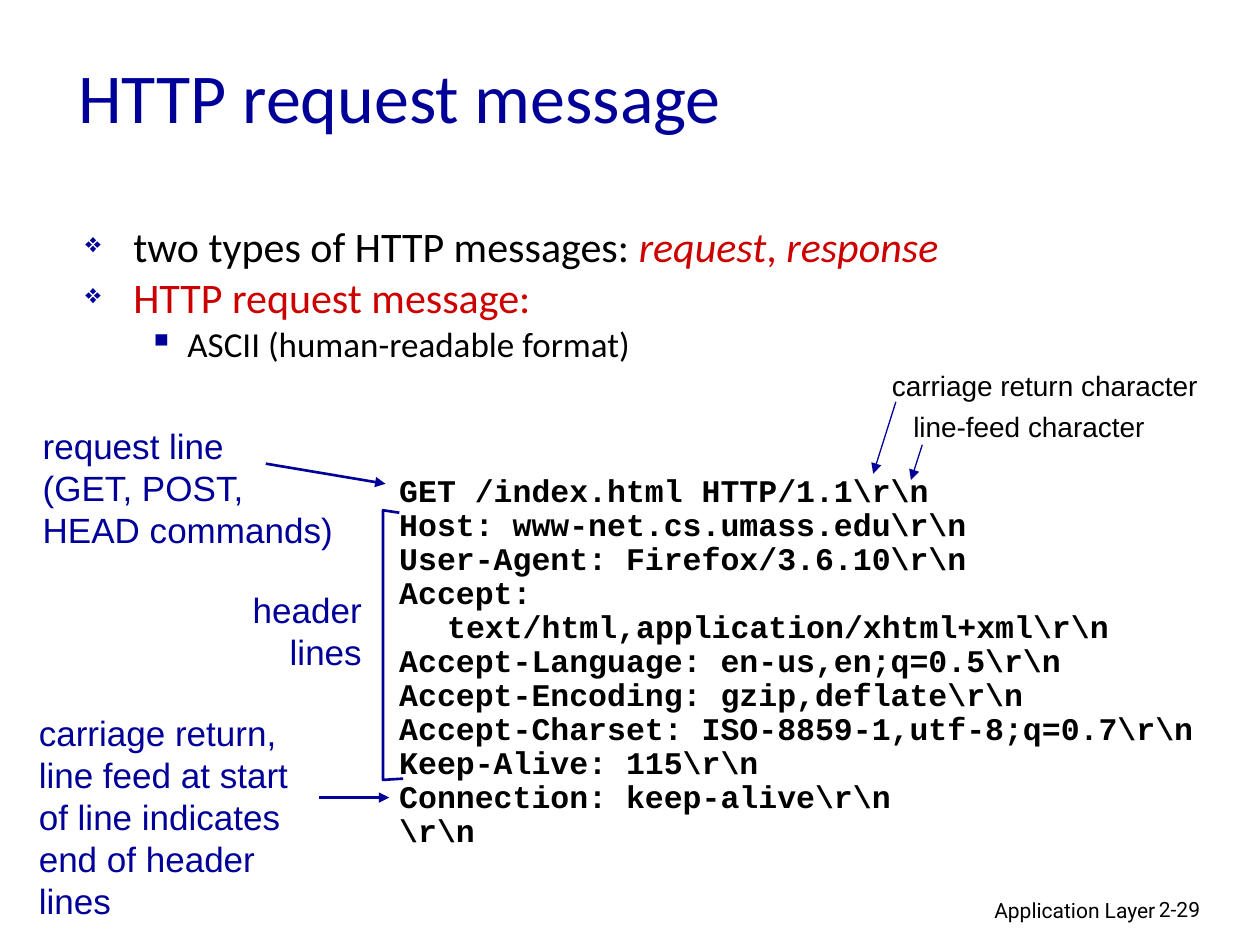
from dataclasses import dataclass

from lxml import etree
from pptx import Presentation
from pptx.dml.color import RGBColor
from pptx.enum.text import MSO_ANCHOR, PP_ALIGN
from pptx.oxml.ns import qn
from pptx.util import Inches, Pt

LEFT = PP_ALIGN.LEFT
RIGHT = PP_ALIGN.RIGHT
TOP = MSO_ANCHOR.TOP
MIDDLE = MSO_ANCHOR.MIDDLE
TITLE_ONLY = 5
HANGING = 0.38


@dataclass(frozen=True)
class Theme:
    navy: str = "000099"
    red: str = "CC0000"
    black: str = "000000"
    heading: str = "Calibri"
    label: str = "Arial"
    code: str = "Courier New"
    footer: str = "Roboto"
    title_size: int = 40
    body_size: int = 24
    label_size: int = 20
    code_size: int = 18
    note_size: int = 16
    footer_size: int = 12


THEME = Theme()


@dataclass(frozen=True)
class Style:
    font: str
    size: int
    color: str
    bold: bool = False


LABEL = Style(THEME.label, THEME.label_size, THEME.navy)
NOTE = Style(THEME.label, THEME.note_size, THEME.black)
CODE = Style(THEME.code, THEME.code_size, THEME.black, True)
FOOTER = Style(THEME.footer, THEME.footer_size, THEME.black)
TITLE = Style(THEME.heading, THEME.title_size, THEME.navy)


@dataclass(frozen=True)
class TextBlock:
    place: tuple[float, float, float, float]
    lines: tuple[str, ...]
    style: Style
    align: PP_ALIGN = LEFT
    hanging: float = 0
    line_spacing: float = 1


@dataclass(frozen=True)
class Arrow:
    start: tuple[float, float]
    end: tuple[float, float]
    width: float


@dataclass(frozen=True)
class Span:
    text: str
    color: str = THEME.black
    italic: bool = False


@dataclass(frozen=True)
class Bullet:
    spans: tuple[Span, ...]
    size: int = THEME.body_size
    level: int = 0
    mark: str = "❖"
    mark_percent: int = 65
    margin: float = HANGING
    hanging: float = HANGING


BLOCKS = (
    TextBlock((6.1, 7.07, 3.17, 0.31), ("Application Layer",), FOOTER, RIGHT),
    TextBlock((9.1, 7.07, 0.74, 0.3), ("2-29",), FOOTER),
    TextBlock((0.24, 3.32, 2.55, 1.1),
              ("request line", "(GET, POST,", "HEAD commands)"), LABEL),
    TextBlock((1.9, 4.62, 1.07, 0.77), ("header", "lines"), LABEL, RIGHT),
    TextBlock((0.21, 5.6, 2.5, 1.77),
              ("carriage return,", "line feed at start",
               "of line indicates", "end of header lines"), LABEL),
    TextBlock((3.07, 3.72, 6.62, 2.81), (
        r"GET /index.html HTTP/1.1\r\n",
        r"Host: www-net.cs.umass.edu\r\n",
        r"User-Agent: Firefox/3.6.10\r\n",
        r"Accept: text/html,application/xhtml+xml\r\n",
        r"Accept-Language: en-us,en;q=0.5\r\n",
        r"Accept-Encoding: gzip,deflate\r\n",
        r"Accept-Charset: ISO-8859-1,utf-8;q=0.7\r\n",
        r"Keep-Alive: 115\r\n",
        r"Connection: keep-alive\r\n",
        r"\r\n",
    ), CODE, hanging=HANGING, line_spacing=0.9),
    TextBlock((6.98, 2.88, 2.7, 0.37), ("carriage return character",), NOTE),
    TextBlock((7.15, 3.2, 2.1, 0.37), ("line-feed character",), NOTE),
)

ARROWS = (
    Arrow((2.11, 3.68), (3.06, 3.84), 1.5),
    Arrow((2.53, 6.33), (3.09, 6.33), 1.5),
    Arrow((7.11, 3.19), (6.93, 3.76), 0.75),
    Arrow((7.32, 3.53), (7.23, 3.81), 0.75),
)

BULLETS = (
    Bullet((Span("two types of HTTP messages: "),
            Span("request", THEME.red, True),
            Span(", ", THEME.red),
            Span("response", THEME.red, True))),
    Bullet((Span("HTTP request message:", THEME.red),)),
    Bullet((Span("ASCII (human-readable format)"),), THEME.label_size,
           1, "▪", 100, 0.81, 0.31),
)

HEADER_BRACKET = ((3.17, 4.07), (3.04, 4.05), (3.04, 6.19), (3.2, 6.18))


def move(shape, place: tuple[float, float, float, float]) -> None:
    shape.left, shape.top, shape.width, shape.height = map(Inches, place)


def format_run(run, style: Style) -> None:
    run.font.name = style.font
    run.font.size = Pt(style.size)
    run.font.bold = style.bold
    run.font.color.rgb = RGBColor.from_string(style.color)


def indent(para, margin: float, hanging: float):
    properties = para._p.get_or_add_pPr()
    properties.set("marL", str(Inches(margin)))
    properties.set("indent", str(-Inches(hanging)))
    return properties


def add_box(slide, place: tuple[float, float, float, float]):
    box = slide.shapes.add_textbox(*map(Inches, place))
    box.text_frame.word_wrap = True
    box.text_frame.vertical_anchor = TOP
    return box


def draw_title(slide, text: str) -> None:
    title = slide.shapes.title
    move(title, (0.52, 0.26, 8.5, 1))
    title.text_frame.text = text
    title.text_frame.vertical_anchor = MIDDLE
    para = title.text_frame.paragraphs[0]
    para.alignment = LEFT
    format_run(para.runs[0], TITLE)


def draw_block(slide, block: TextBlock) -> None:
    frame = add_box(slide, block.place).text_frame
    frame.text = "\n".join(block.lines)
    for para in frame.paragraphs:
        para.alignment = block.align
        para.line_spacing = block.line_spacing
        indent(para, block.hanging, block.hanging)
        format_run(para.runs[0], block.style)


def draw_bullets(slide, bullets: tuple[Bullet, ...]) -> None:
    frame = add_box(slide, (0.58, 1.76, 8.5, 1.3)).text_frame
    for index, bullet in enumerate(bullets):
        para = frame.add_paragraph() if index else frame.paragraphs[0]
        para.level = bullet.level
        para.line_spacing = 0.85
        para.space_before = Pt(bullet.size * 0.2 if index else 0)
        properties = indent(para, bullet.margin, bullet.hanging)
        color = etree.SubElement(properties, qn("a:buClr"))
        etree.SubElement(color, qn("a:srgbClr"), val=THEME.navy)
        etree.SubElement(properties, qn("a:buSzPct"), val=str(bullet.mark_percent * 1000))
        etree.SubElement(properties, qn("a:buChar"), char=bullet.mark)
        for span in bullet.spans:
            run = para.add_run()
            run.text = span.text
            format_run(run, Style(THEME.heading, bullet.size, span.color))
            run.font.italic = span.italic


def format_line(shape, width: float) -> None:
    shape.line.color.rgb = RGBColor.from_string(THEME.navy)
    shape.line.width = Pt(width)


def draw_arrow(slide, arrow: Arrow) -> None:
    points = map(Inches, arrow.start + arrow.end)
    connector = slide.shapes.add_connector(1, *points)
    format_line(connector, arrow.width)
    etree.SubElement(connector.line._get_or_add_ln(), qn("a:tailEnd"), type="triangle")
    etree.SubElement(connector._element.spPr, qn("a:effectLst"))


def draw_bracket(slide, points: tuple[tuple[float, float], ...]) -> None:
    start, *rest = [(Inches(x), Inches(y)) for x, y in points]
    builder = slide.shapes.build_freeform(*start, scale=1.0)
    builder.add_line_segments(rest, close=False)
    bracket = builder.convert_to_shape()
    bracket.shadow.inherit = False
    bracket.fill.background()
    format_line(bracket, 1.5)


def main() -> None:
    deck = Presentation()
    deck.slide_width, deck.slide_height = Inches(10), Inches(7.5)
    slide = deck.slides.add_slide(deck.slide_layouts[TITLE_ONLY])
    draw_title(slide, "HTTP request message")
    draw_bullets(slide, BULLETS)
    for block in BLOCKS:
        draw_block(slide, block)
    draw_bracket(slide, HEADER_BRACKET)
    for arrow in ARROWS:
        draw_arrow(slide, arrow)
    deck.save("out.pptx")


if __name__ == "__main__":
    main()
